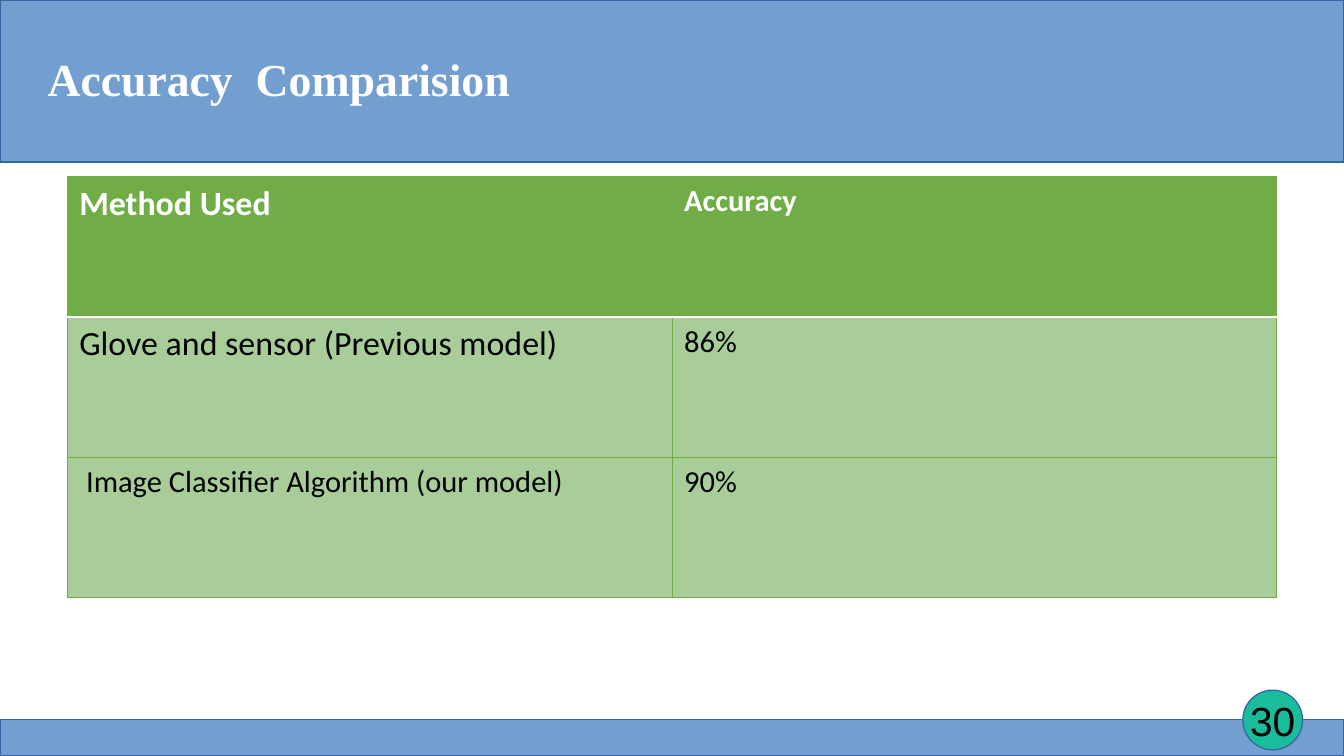
import pptx
import pptx.dml.color
import pptx.enum.shapes
import pptx.enum.text
import pptx.util
from dataclasses import dataclass
from lxml import etree
from pptx.util import Inches, Pt

ANCHOR = pptx.enum.text.MSO_ANCHOR
ALIGN = pptx.enum.text.PP_ALIGN
SHAPE = pptx.enum.shapes.MSO_SHAPE
DRAWING = "http://schemas.openxmlformats.org/drawingml/2006/main"


def rgb(value):
    return pptx.dml.color.RGBColor.from_string(value)


@dataclass(frozen=True)
class Theme:
    band: str = "729FCF"
    outline: str = "3465A4"
    badge: str = "1ABC9C"
    header: str = "70AD47"
    body: str = "A9CD99"
    light: str = "FFFFFF"
    dark: str = "000000"
    title_font: str = "Times New Roman"
    table_font: str = "Calibri"
    number_font: str = "Arial"
    title_size: float = 27
    number_size: float = 24
    large_size: float = 20
    normal_size: float = 18


class SlideBuilder:
    def __init__(self, slide, theme):
        self.slide = slide
        self.theme = theme

    def shape(self, kind, left, top, width, height, fill):
        shape = self.slide.shapes.add_shape(
            kind, Inches(left), Inches(top), Inches(width), Inches(height))
        shape.shadow.inherit = False
        shape.fill.solid()
        shape.fill.fore_color.rgb = rgb(fill)
        shape.line.color.rgb = rgb(self.theme.outline)
        shape.line.width = Pt(0)

    def set_text(self, frame, text, font, size, color, bold=False, align=ALIGN.LEFT):
        para = frame.paragraphs[0]
        para.text = text
        para.alignment = align
        para.font.name = font
        para.font.size = Pt(size)
        para.font.bold = bold
        para.font.color.rgb = rgb(color)

    def text(self, left, top, width, height, text, font, size, color, **style):
        box = self.slide.shapes.add_textbox(
            Inches(left), Inches(top), Inches(width), Inches(height))
        frame = box.text_frame
        frame.word_wrap = True
        frame.vertical_anchor = ANCHOR.MIDDLE
        frame.margin_left = frame.margin_right = 0
        frame.margin_top = frame.margin_bottom = 0
        self.set_text(frame, text, font, size, color, **style)

    def border(self, cell, side, color, width):
        """Draw one cell side (L, R, T or B); call in that order, before the fill."""
        properties = cell._tc.get_or_add_tcPr()
        line = etree.SubElement(properties, f"{{{DRAWING}}}ln{side}", w=str(Pt(width)))
        fill = etree.SubElement(line, f"{{{DRAWING}}}solidFill")
        etree.SubElement(fill, f"{{{DRAWING}}}srgbClr", val=color)

    def table(self, left, top, width, height, rows):
        """Each row holds (text, size) pairs; the first row is the header."""
        theme = self.theme
        table = self.slide.shapes.add_table(
            len(rows), len(rows[0]), Inches(left), Inches(top),
            Inches(width), Inches(height)).table
        rule_sides = {0: "B", 1: "T"}
        for row_index, row in enumerate(rows):
            is_header = row_index == 0
            for column_index, (text, size) in enumerate(row):
                cell = table.cell(row_index, column_index)
                for side in "LRTB":
                    if rule_sides.get(row_index) == side:
                        self.border(cell, side, theme.light, 1)
                    else:
                        self.border(cell, side, theme.header, 0.5)
                cell.fill.solid()
                cell.fill.fore_color.rgb = rgb(theme.header if is_header else theme.body)
                color = theme.light if is_header else theme.dark
                self.set_text(cell.text_frame, text, theme.table_font, size, color,
                              bold=is_header)


def main():
    deck = pptx.Presentation()
    deck.slide_width, deck.slide_height = Inches(11.02), Inches(6.2)
    theme = Theme()
    page = SlideBuilder(deck.slides.add_slide(deck.slide_layouts[6]), theme)

    page.shape(SHAPE.RECTANGLE, 0, 5.9, 11.02, 0.3, theme.band)
    page.shape(SHAPE.RECTANGLE, 0, 0, 11.02, 1.33, theme.band)
    page.shape(SHAPE.OVAL, 10.19, 5.66, 0.49, 0.49, theme.badge)
    page.text(10.04, 5.61, 0.79, 0.59, "30", theme.number_font,
              theme.number_size, theme.dark, align=ALIGN.CENTER)
    page.text(0.39, 0.25, 10.24, 0.79, "Accuracy  Comparision", theme.title_font,
              theme.title_size, theme.light, bold=True)

    large, normal = theme.large_size, theme.normal_size
    page.table(0.55, 1.45, 9.92, 3.45, [
        [("Method Used", large), ("Accuracy", normal)],
        [("Glove and sensor (Previous model)", large), ("86%", normal)],
        [(" Image Classifier Algorithm (our model)", normal), ("90%", normal)],
    ])
    deck.save("out.pptx")


if __name__ == "__main__":
    main()
